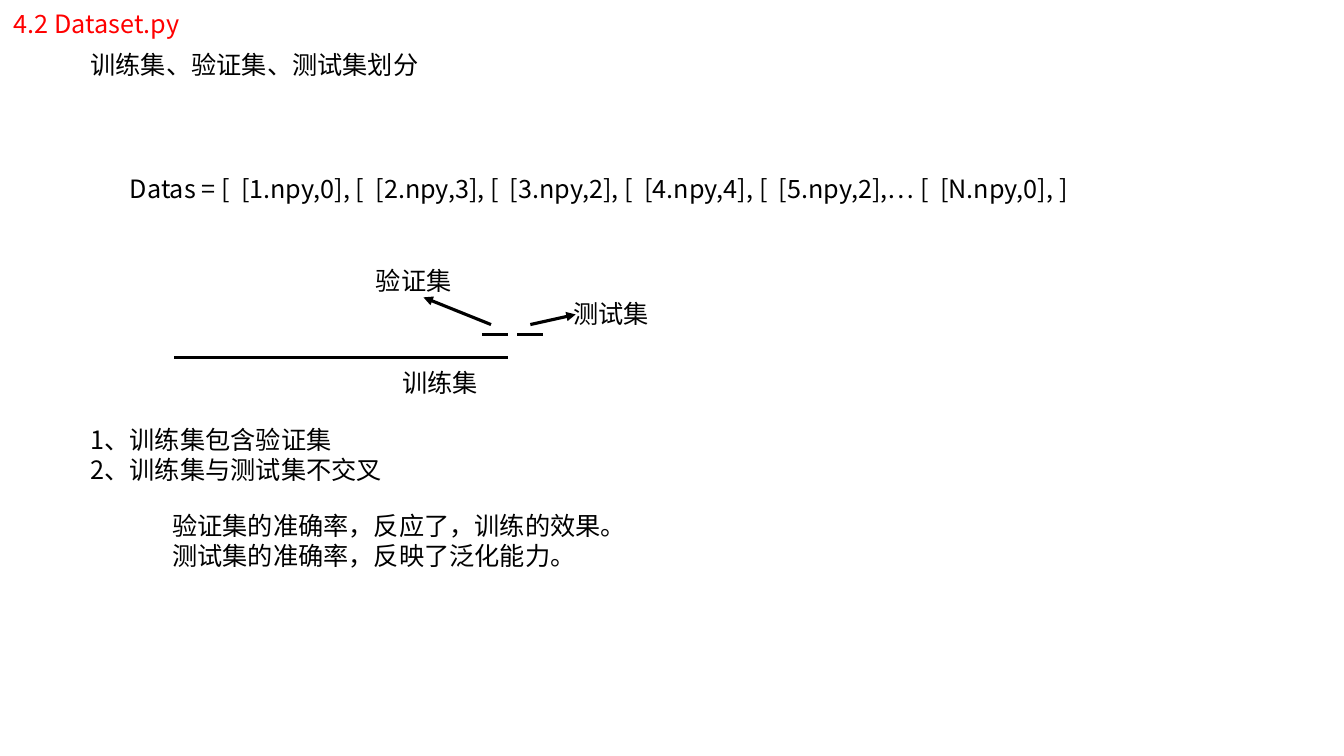
from lxml.etree import SubElement
from pptx import Presentation
from pptx.dml.color import RGBColor
from pptx.enum.shapes import MSO_CONNECTOR
from pptx.enum.text import MSO_AUTO_SIZE
from pptx.oxml.ns import qn
from pptx.util import Inches, Pt

COLORS = {"title": "FF0000", "ink": "000000"}


class Deck:
    font = "Noto Sans CJK SC"
    size = Pt(18)
    pitch = Pt(21.6)
    weight = Pt(2.25)

    def __init__(self):
        self.prs = Presentation()
        self.prs.slide_width = Inches(13.33)
        self.prs.slide_height = Inches(7.5)
        self.slide = self.prs.slides.add_slide(self.prs.slide_layouts[6])

    def text(self, left, top, width, *lines, color="ink"):
        height = 0.1 + 0.3 * len(lines)
        box = self.slide.shapes.add_textbox(
            Inches(left), Inches(top), Inches(width), Inches(height))
        frame = box.text_frame
        frame.word_wrap = True
        frame.auto_size = MSO_AUTO_SIZE.SHAPE_TO_FIT_TEXT
        frame.text = "\n".join(lines)
        for para in frame.paragraphs:
            para.line_spacing = self.pitch
            para.font.size = self.size
            para.font.name = self.font
            para.font.color.rgb = RGBColor.from_string(COLORS[color])
            for run in para.runs:
                props = run.font._element if hasattr(run.font, "_element") else run._r.get_or_add_rPr()
                SubElement(props, qn("a:ea"), typeface=self.font)

    def line(self, start, end, arrow=False):
        line = self.slide.shapes.add_connector(
            MSO_CONNECTOR.STRAIGHT, *map(Inches, start + end))
        line.line.width = self.weight
        line.line.color.rgb = RGBColor.from_string(COLORS["ink"])
        if arrow:
            SubElement(line.line._get_or_add_ln(), qn("a:tailEnd"), type="triangle")
        SubElement(line._element.spPr, qn("a:effectLst"))

    def save(self):
        self.prs.save("out.pptx")


def main():
    deck = Deck()
    deck.text(0.04, 0.03, 4.48, "4.2 Dataset.py", color="title")
    deck.text(0.8, 0.44, 5.25, "训练集、验证集、测试集划分")
    deck.text(1.19, 1.67, 9.72,
              "Datas = [  [1.npy,0], [  [2.npy,3], [  [3.npy,2], "
              "[  [4.npy,4], [  [5.npy,2],… [  [N.npy,0], ]")

    # Spans of the training, validation and test sets
    for left, right, y in ((1.73, 5.04, 3.55), (4.78, 5.04, 3.32), (5.13, 5.39, 3.32)):
        deck.line((left, y), (right, y))
    for name, left, top in (("训练集", 3.89, 3.59), ("测试集", 5.59, 2.91),
                            ("验证集", 3.63, 2.58)):
        deck.text(left, top, 1.28, name)
    deck.line((5.26, 3.22), (5.71, 3.12), arrow=True)
    deck.line((4.87, 3.22), (4.2, 2.95), arrow=True)

    deck.text(0.8, 4.16, 4.69, "1、训练集包含验证集", "2、训练集与测试集不交叉")
    deck.text(1.61, 5.01, 6.52, "验证集的准确率，反应了，训练的效果。",
              "测试集的准确率，反映了泛化能力。")
    deck.save()


if __name__ == "__main__":
    main()
